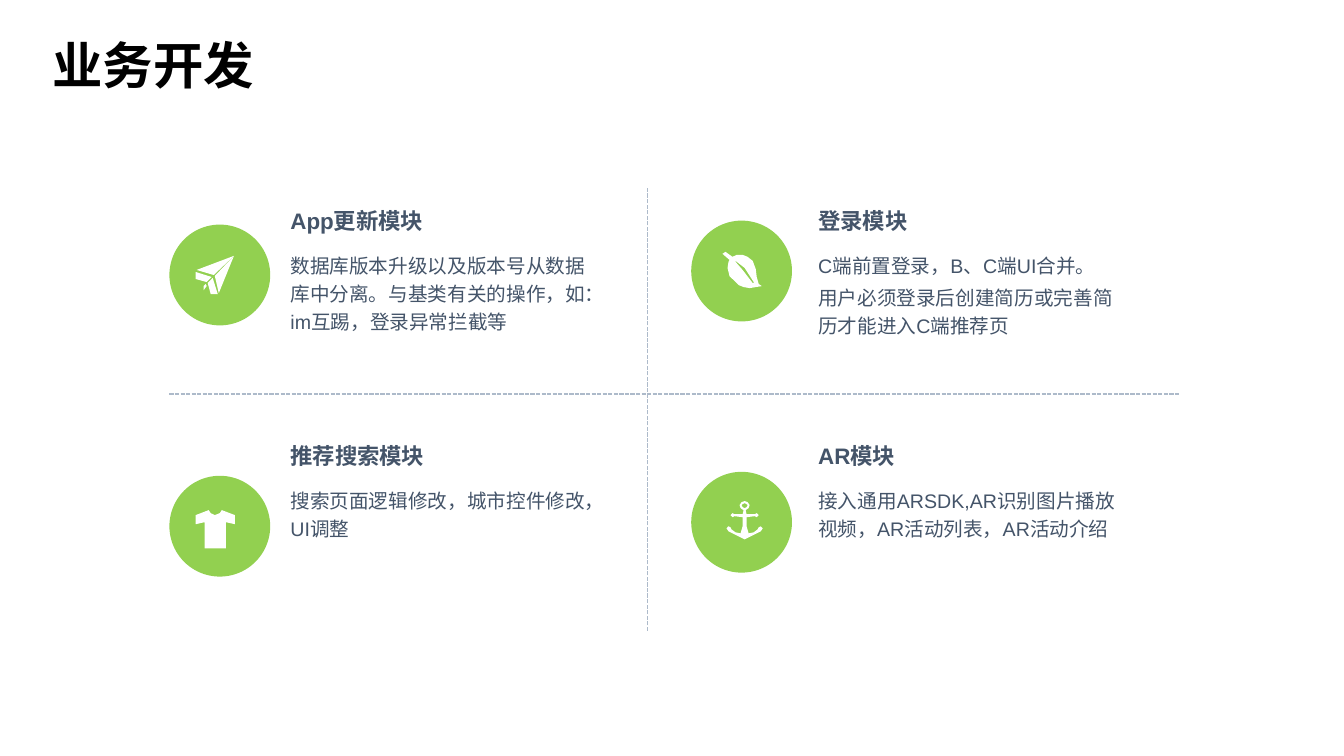
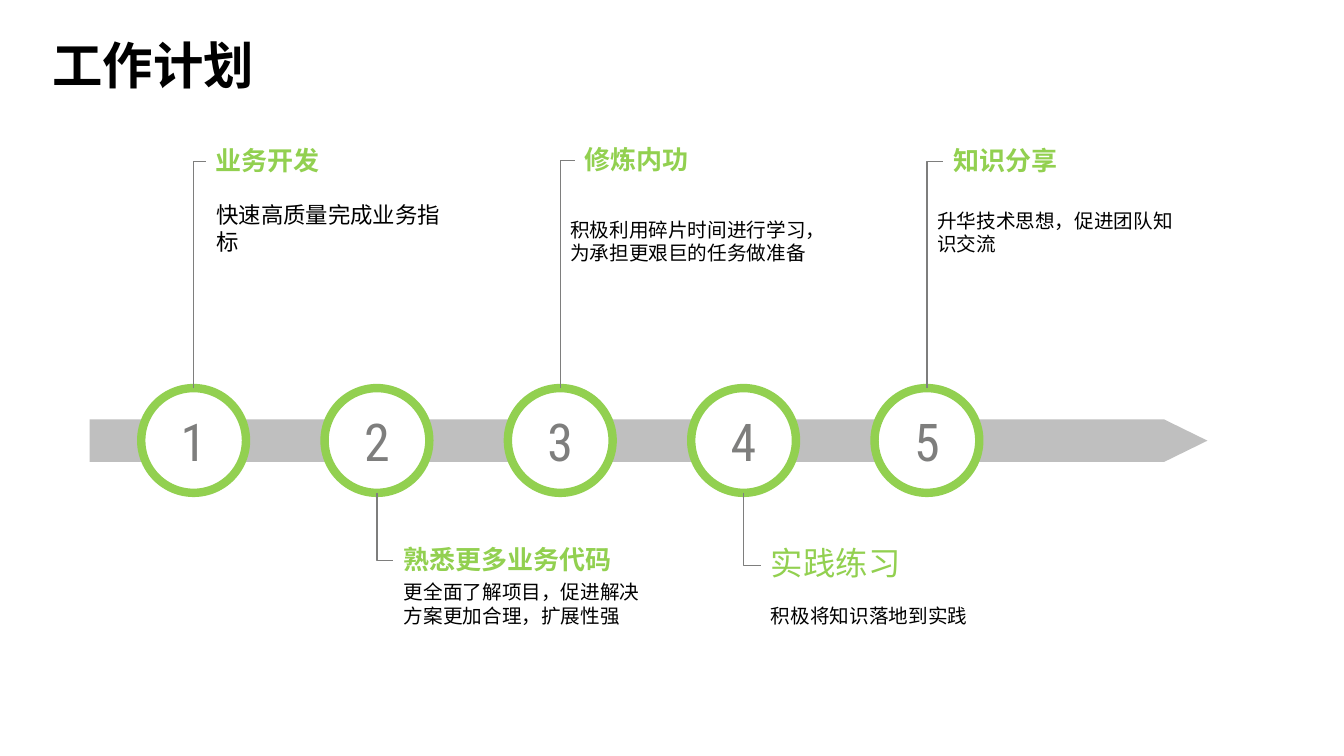
from dataclasses import dataclass

import lxml.etree
import pptx
import pptx.dml.color
import pptx.enum.dml
import pptx.enum.lang
import pptx.enum.shapes
import pptx.enum.text
import pptx.oxml.ns
import pptx.presentation
import pptx.shapes.autoshape
import pptx.shapes.connector
import pptx.slide
import pptx.util
from pptx.util import Cm

GREEN, WHITE, BLACK = "92D050", "FFFFFF", "000000"
SLATE, DIVIDER, BAR, GREY = "445469", "ADBACA", "BFBFBF", "7E7E7D"
CJK_FONT, LATIN_FONT, NUMBER_FONT = "Noto Sans CJK SC", "Arial", "Roboto Condensed"
ELLIPSE = pptx.enum.shapes.MSO_SHAPE.OVAL

Contour = tuple[tuple[int, int], ...]
Glyph = tuple[Contour, ...]  # an outline, then any holes
Icon = tuple[Glyph, ...]

# Icon points are percentages of the badge diameter.
PLANE: Icon = (
    (((45, 51), (49, 68), (64, 31)),),
    (((38, 58), (41, 69), (48, 69), (43, 53)),),
    (((64, 31), (27, 45), (44, 50)),),
    (((42, 52), (26, 47), (26, 54), (37, 57)),),
    (((34, 61), (34, 65), (37, 61), (36, 59)),),
)
SHIRT: Icon = ((
    ((39, 34), (41, 37), (45, 39), (50, 37), (52, 34), (65, 39), (65, 48),
     (56, 46), (56, 72), (35, 72), (35, 46), (26, 48), (26, 39)),
),)
LEAF: Icon = ((
    ((65, 56), (64, 48), (61, 40), (56, 36), (51, 34), (45, 34), (41, 36),
     (34, 31), (31, 33), (38, 39), (37, 41), (36, 47), (38, 55), (47, 64),
     (52, 66), (58, 67), (70, 65), (67, 63)),
    ((62, 62), (61, 62), (51, 49), (44, 41), (44, 40), (53, 47), (62, 61)),
),)
ANCHOR_AXIS = 53
ANCHOR_HALF: Contour = (
    (0, 29), (3, 30), (5, 33), (4, 36), (1, 38), (2, 42), (10, 42), (12, 41),
    (14, 43), (12, 45), (10, 44), (2, 45), (2, 54), (4, 61), (9, 60), (13, 57),
    (14, 55), (16, 54), (18, 56), (16, 59), (12, 61), (4, 65), (0, 67),
)
ANCHOR: Icon = ((
    tuple((ANCHOR_AXIS + x, y) for x, y in ANCHOR_HALF)
    + tuple((ANCHOR_AXIS - x, y) for x, y in reversed(ANCHOR_HALF)),
    ((53, 31), (55, 32), (56, 33), (55, 35), (53, 36), (51, 35), (50, 33), (51, 32)),
),)


@dataclass(frozen=True)
class TextStyle:
    size: float
    color: str
    font: str = CJK_FONT
    bold: bool = False
    line_spacing: float = 1.0
    space_between: float = 0


TITLE = TextStyle(36, BLACK, bold=True)
MODULE_HEADING = TextStyle(16, SLATE, LATIN_FONT, bold=True)
MODULE_BODY = TextStyle(14, SLATE, LATIN_FONT, line_spacing=1.2, space_between=2.8)
STEP_NUMBER = TextStyle(37.2, GREY, NUMBER_FONT)
STEP_HEADING = TextStyle(18.6, GREEN, bold=True)
STEP_DETAIL = TextStyle(14, BLACK)


@dataclass(frozen=True)
class Module:
    heading: str
    body: tuple[str, ...]
    icon: Icon


@dataclass(frozen=True)
class Step:
    """A timeline step; positions are centimetres from the slide's corner."""

    heading: str
    heading_at: tuple[float, float]
    detail: str
    detail_at: tuple[float, float]
    heading_style: TextStyle = STEP_HEADING
    detail_style: TextStyle = STEP_DETAIL


MODULES = (
    Module("App更新模块",
           ("数据库版本升级以及版本号从数据库中分离。与基类有关的操作，如：im互踢，登录异常拦截等",),
           PLANE),
    Module("登录模块",
           ("C端前置登录，B、C端UI合并。", "用户必须登录后创建简历或完善简历才能进入C端推荐页"),
           LEAF),
    Module("推荐搜索模块", ("搜索页面逻辑修改，城市控件修改，UI调整",), SHIRT),
    Module("AR模块", ("接入通用ARSDK,AR识别图片播放视频，AR活动列表，AR活动介绍",), ANCHOR),
)

STEPS = (
    Step("业务开发", (5.18, 3.51), "快速高质量完成业务指标", (5.21, 4.95),
         detail_style=TextStyle(16, BLACK, "Calibri")),
    Step("熟悉更多业务代码", (9.91, 13.56),
         "更全面了解项目，促进解决方案更加合理，扩展性强", (9.93, 14.5)),
    Step("修炼内功", (14.48, 3.48),
         "积极利用碎片时间进行学习，为承担更艰巨的任务做准备", (14.12, 5.36)),
    Step("实践练习", (19.18, 13.56), "积极将知识落地到实践", (19.18, 15.09),
         heading_style=TextStyle(23.1, GREEN, "Calibri")),
    Step("知识分享", (23.77, 3.51), "升华技术思想，促进团队知识交流", (23.37, 5.13)),
)


def rgb(color: str) -> pptx.dml.color.RGBColor:
    return pptx.dml.color.RGBColor.from_string(color)


def write(frame: pptx.text.text.TextFrame, texts: tuple[str, ...], style: TextStyle) -> None:
    """Fill a text frame with one paragraph per text."""
    for index, text in enumerate(texts):
        paragraph = frame.add_paragraph() if index else frame.paragraphs[0]
        paragraph.line_spacing = style.line_spacing
        if index:
            paragraph.space_before = pptx.util.Pt(style.space_between)
        run = paragraph.add_run()
        run.text = text
        run.font.size = pptx.util.Pt(style.size)
        run.font.bold = style.bold
        run.font.name = style.font
        run.font.language_id = pptx.enum.lang.MSO_LANGUAGE_ID.SIMPLIFIED_CHINESE
        run.font.color.rgb = rgb(style.color)
        east_asian = lxml.etree.SubElement(
            run._r.get_or_add_rPr(), pptx.oxml.ns.qn("a:ea"))
        east_asian.set("typeface", CJK_FONT)


def clear_margins(frame: pptx.text.text.TextFrame) -> None:
    frame.margin_left = frame.margin_right = 0
    frame.margin_top = frame.margin_bottom = 0


def add_text(slide: pptx.slide.Slide, left: float, top: float, width: float,
             height: float, texts: tuple[str, ...], style: TextStyle,
             margins: bool = True) -> None:
    frame = slide.shapes.add_textbox(Cm(left), Cm(top), Cm(width), Cm(height)).text_frame
    frame.word_wrap = True
    if not margins:
        clear_margins(frame)
    write(frame, texts, style)


def paint(shape: pptx.shapes.autoshape.Shape, fill: str,
          line: str | None = None, line_width: float = 0) -> None:
    shape.shadow.inherit = False
    shape.fill.solid()
    shape.fill.fore_color.rgb = rgb(fill)
    if line is None:
        shape.line.fill.background()
    else:
        shape.line.color.rgb = rgb(line)
        shape.line.width = pptx.util.Pt(line_width)


def add_line(slide: pptx.slide.Slide, kind: pptx.enum.shapes.MSO_CONNECTOR,
             start: tuple[float, float], end: tuple[float, float],
             color: str) -> pptx.shapes.connector.Connector:
    connector = slide.shapes.add_connector(
        kind, *(Cm(value) for value in start + end))
    connector.line.color.rgb = rgb(color)
    connector.line.width = pptx.util.Pt(1)
    lxml.etree.SubElement(connector._element.spPr, pptx.oxml.ns.qn("a:effectLst"))
    return connector


def add_elbow(slide: pptx.slide.Slide, start: tuple[float, float],
              end: tuple[float, float]) -> None:
    """Draw a line that leaves start vertically and reaches end from the left."""
    downward = end[1] > start[1]
    length, reach = abs(end[1] - start[1]), end[0] - start[0]
    left = (start[0] + end[0] - length) / 2
    top = (start[1] + end[1] - reach) / 2
    first_y, last_y = (top + reach, top) if downward else (top, top + reach)
    connector = add_line(slide, pptx.enum.shapes.MSO_CONNECTOR.ELBOW,
                         (left, first_y), (left + length, last_y), GREY)
    properties = connector._element.spPr
    properties.find(pptx.oxml.ns.qn("a:prstGeom")).set("prst", "bentConnector2")
    quarter_turns = 1 if downward else 3
    properties.find(pptx.oxml.ns.qn("a:xfrm")).set("rot", str(quarter_turns * 5400000))


def add_badge(slide: pptx.slide.Slide, left: float, top: float, icon: Icon) -> None:
    diameter = Cm(2.54)
    paint(slide.shapes.add_shape(ELLIPSE, Cm(left), Cm(top), diameter, diameter), GREEN)
    for glyph in icon:
        builder = slide.shapes.build_freeform(*glyph[0][0], scale=diameter / 100)
        for index, contour in enumerate(glyph):
            if index:
                builder.move_to(*contour[0])
            builder.add_line_segments(contour[1:], close=True)
        paint(builder.convert_to_shape(Cm(left), Cm(top)), WHITE)


def add_titled_slide(presentation: pptx.presentation.Presentation,
                     title: str) -> pptx.slide.Slide:
    slide = presentation.slides.add_slide(presentation.slide_layouts[6])
    add_text(slide, 1.07, 0.74, 7.04, 1.88, (title,), TITLE)
    return slide


def add_modules_slide(presentation: pptx.presentation.Presentation) -> None:
    slide = add_titled_slide(presentation, "业务开发")
    for start, end in (((4.27, 9.93), (29.72, 9.93)), ((16.31, 15.9), (16.31, 4.72))):
        divider = add_line(slide, pptx.enum.shapes.MSO_CONNECTOR.STRAIGHT,
                           start, end, DIVIDER)
        divider.line.dash_style = pptx.enum.dml.MSO_LINE.SQUARE_DOT
    for index, module in enumerate(MODULES):
        row, column = divmod(index, 2)
        add_badge(slide, 4.27 + 13.15 * column, 5.66 + 6.33 * row - 0.1 * column,
                  module.icon)
        left, top = 7.32 + 13.3 * column, 5.21 + 5.92 * row
        add_text(slide, left, top, 7.9, 0.74, (module.heading,), MODULE_HEADING,
                 margins=False)
        add_text(slide, left, top + 1.06, 7.9, 2.13, module.body, MODULE_BODY,
                 margins=False)


def add_plan_slide(presentation: pptx.presentation.Presentation) -> None:
    slide = add_titled_slide(presentation, "工作计划")
    bar = slide.shapes.add_shape(pptx.enum.shapes.MSO_SHAPE.PENTAGON,
                                 Cm(2.26), Cm(10.57), Cm(28.17), Cm(1.07))
    bar.adjustments[0] = 1.02
    paint(bar, BAR)
    diameter, center_y = 2.64, 11.1
    radius = diameter / 2
    for index, step in enumerate(STEPS):
        center_x = 4.88 + 4.62 * index
        circle = slide.shapes.add_shape(
            ELLIPSE, Cm(center_x - radius), Cm(center_y - radius),
            Cm(diameter), Cm(diameter))
        paint(circle, WHITE, GREEN, 6)
        frame = circle.text_frame
        clear_margins(frame)
        frame.vertical_anchor = pptx.enum.text.MSO_ANCHOR.MIDDLE
        frame.paragraphs[0].alignment = pptx.enum.text.PP_ALIGN.CENTER
        write(frame, (str(index + 1),), STEP_NUMBER)

        left, top = step.heading_at
        heading_middle = top + 0.03 * step.heading_style.size
        side = 1 if top > center_y else -1
        add_elbow(slide, (center_x, center_y + side * radius), (left, heading_middle))
        add_text(slide, left, top, 6.2, 1.09, (step.heading,), step.heading_style)
        add_text(slide, *step.detail_at, 6.54, 1.4, (step.detail,), step.detail_style)


def main() -> None:
    presentation = pptx.Presentation()
    presentation.slide_width = Cm(33.87)
    presentation.slide_height = Cm(19.05)
    add_modules_slide(presentation)
    add_plan_slide(presentation)
    presentation.save("out.pptx")


if __name__ == "__main__":
    main()
